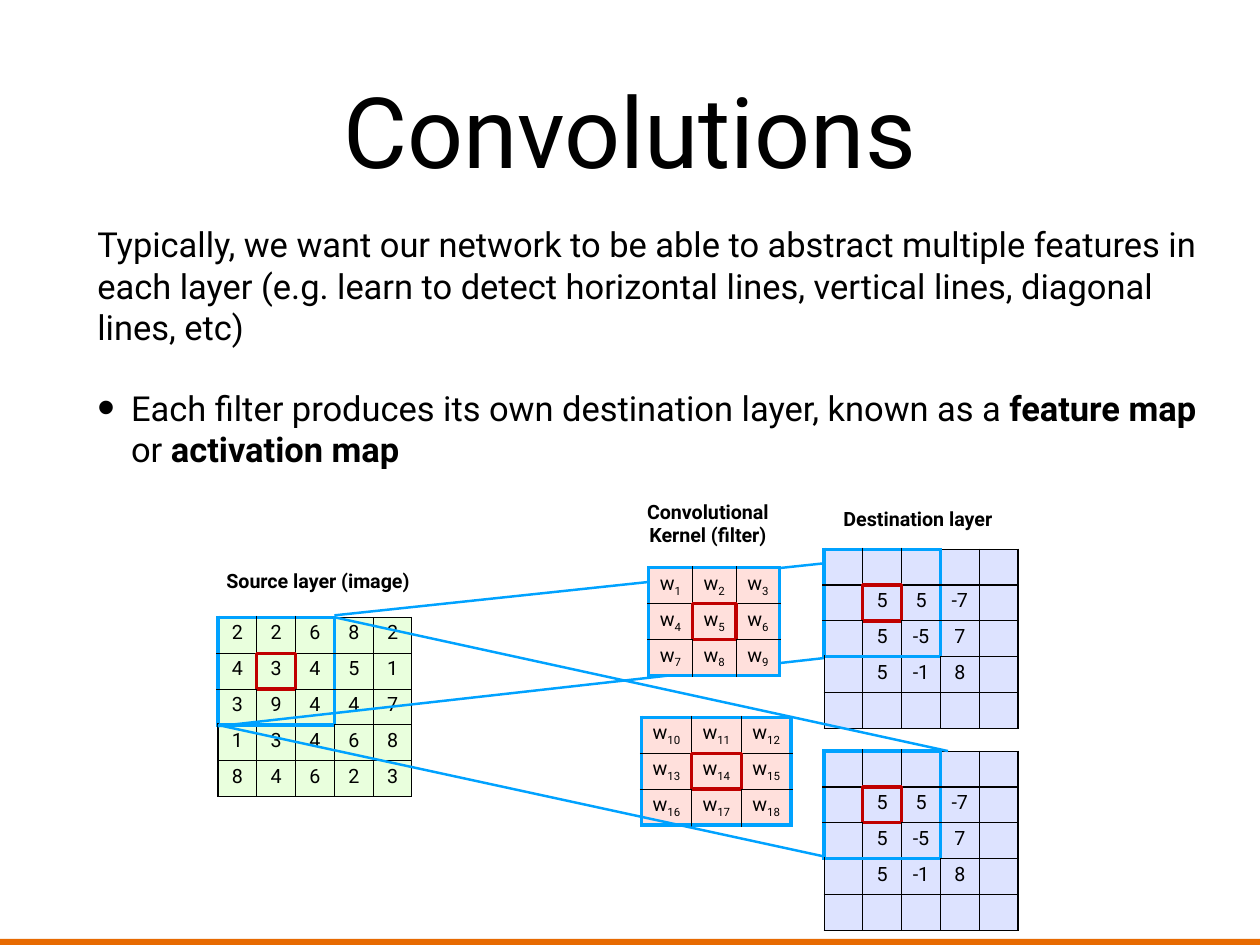
from typing import NamedTuple

from lxml.etree import SubElement
from pptx import Presentation
from pptx.dml.color import RGBColor
from pptx.enum.shapes import MSO_CONNECTOR, MSO_SHAPE
from pptx.enum.text import MSO_ANCHOR, MSO_AUTO_SIZE, PP_ALIGN
from pptx.oxml.ns import qn
from pptx.util import Inches, Pt

BLACK = RGBColor(0x00, 0x00, 0x00)
BLUE = RGBColor(0x00, 0xA2, 0xFF)
RED = RGBColor(0xC0, 0x00, 0x00)
ORANGE = RGBColor(0xE7, 0x6A, 0x01)
GREEN_FILL = RGBColor(0xE9, 0xFF, 0xDD)
LILAC_FILL = RGBColor(0xDD, 0xE3, 0xFF)
PINK_FILL = RGBColor(0xFF, 0xE0, 0xDC)

FONT = "Roboto"
WIDTH, HEIGHT = Inches(14.22), Inches(10.67)
ROW = 3.8
WINDOW = 3


class Matrix(NamedTuple):
    """A grid of cells; left, top and column width are percentages of the slide."""
    left: float
    top: float
    col: float
    fill: RGBColor
    rows: list

    def corner(self, col, row, dx=0, dy=0):
        return self.left + col * self.col + dx, self.top + row * ROW + dy


def kernel_rows(first):
    return [[f"w{first + WINDOW * r + c}" for c in range(WINDOW)] for r in range(WINDOW)]


IMAGE_ROWS = ["22682", "43451", "39447", "13468", "84623"]
MAP_ROWS = [
    [""] * 5,
    ["", "5", "5", "-7", ""],
    ["", "5", "-5", "7", ""],
    ["", "5", "-1", "8", ""],
    [""] * 5,
]
SOURCE = Matrix(17.3, 65.32, 3.08, GREEN_FILL, IMAGE_ROWS)
KERNELS = [Matrix(51.48, 60.07, 3.47, PINK_FILL, kernel_rows(1)),
           Matrix(50.91, 75.91, 3.96, PINK_FILL, kernel_rows(10))]
MAPS = [Matrix(65.4, top, 3.08, LILAC_FILL, MAP_ROWS) for top in (58.11, 79.48)]

LABELS = [
    ("Source layer (image)", (16.77, 59.7, 16.95, 3.47)),
    ("Destination layer", (66.03, 53.14, 13.64, 3.75)),
    ("Convolutional\nKernel (filter)", (50.21, 52.39, 11.95, 6)),
]


def across(share):
    return round(WIDTH * share / 100)


def down(share):
    return round(HEIGHT * share / 100)


def place(box):
    left, top, width, height = box
    return across(left), down(top), across(width), down(height)


def add_run(p, text, size=16, bold=False, color=BLACK, baseline=0):
    r = p.add_run()
    r.text = text
    r.font.name, r.font.size, r.font.bold = FONT, Pt(size), bold
    r.font.color.rgb = color
    if baseline:
        r.font._element.set("baseline", str(baseline * 1000))


def fit_placeholder(sp, box, anchor):
    sp.left, sp.top, sp.width, sp.height = place(box)
    tf = sp.text_frame
    tf.auto_size, tf.word_wrap, tf.vertical_anchor = MSO_AUTO_SIZE.NONE, True, anchor
    tf.margin_left = tf.margin_right = tf.margin_top = tf.margin_bottom = Inches(0.06)
    return tf


def fill_title(s, box):
    p = fit_placeholder(s.shapes.title, box, MSO_ANCHOR.MIDDLE).paragraphs[0]
    p.alignment = PP_ALIGN.CENTER
    add_run(p, "Convolutions", size=80)


def fill_body(s, box):
    tf = fit_placeholder(s.placeholders[1], box, MSO_ANCHOR.TOP)
    intro, point = tf.paragraphs[0], tf.add_paragraph()
    for p, indent in ((intro, 0), (point, Inches(0.38))):
        p.space_before = Pt(32)
        pPr = p._p.get_or_add_pPr()
        pPr.set("marL", str(indent))
        pPr.set("indent", str(-indent))
        if indent:
            SubElement(pPr, qn("a:buSzPct"), val="145000")
            SubElement(pPr, qn("a:buChar"), char="•")
        else:
            SubElement(pPr, qn("a:buNone"))
    add_run(intro, "Typically, we want our network to be able to abstract multiple features in "
                   "each layer (e.g. learn to detect horizontal lines, vertical lines, diagonal "
                   "lines, etc)", size=28)
    for text, bold in (("Each filter produces its own destination layer, known as a ", False),
                       ("feature map", True), (" or ", False), ("activation map", True)):
        add_run(point, text, size=28, bold=bold)


def edge_style(line, lane):
    """Colour and width of the border on grid line `line`, beside row or column `lane`."""
    if line in (0, WINDOW) and lane < WINDOW:
        return BLUE, 3
    if line in (1, 2) and lane == 1:
        return RED, 3
    return BLACK, 1


def set_borders(cell, row, col):
    tcPr = cell._tc.get_or_add_tcPr()
    for side, line, lane in (("L", col, row), ("R", col + 1, row),
                             ("T", row, col), ("B", row + 1, col)):
        color, width = edge_style(line, lane)
        ln = SubElement(tcPr, qn(f"a:ln{side}"), w=str(Pt(width)))
        SubElement(SubElement(ln, qn("a:solidFill")), qn("a:srgbClr"), val=str(color))


def add_matrix(s, m):
    n = len(m.rows)
    box = m.left, m.top, n * m.col, n * ROW
    table = s.shapes.add_table(n, n, *place(box)).table
    table.first_row = table.horz_banding = False
    for i in range(n):
        table.columns[i].width = across(m.col)
        table.rows[i].height = down(ROW)
    for row, values in enumerate(m.rows):
        for col, value in enumerate(values):
            cell = table.cell(row, col)
            set_borders(cell, row, col)
            cell.fill.solid()
            cell.fill.fore_color.rgb = m.fill
            cell.margin_left = cell.margin_right = cell.margin_top = Inches(0.05)
            cell.margin_bottom = 0
            p = cell.text_frame.paragraphs[0]
            p.alignment = PP_ALIGN.CENTER
            if value.startswith("w"):
                add_run(p, "w")
                add_run(p, value[1:], baseline=-25)
            elif value:
                add_run(p, value)


def add_ray(s, start, end):
    (x1, y1), (x2, y2) = start, end
    ray = s.shapes.add_connector(MSO_CONNECTOR.STRAIGHT,
                                 across(x1), down(y1), across(x2), down(y2))
    ray.line.color.rgb, ray.line.width = BLUE, Pt(2)
    SubElement(ray._element.spPr, qn("a:effectLst"))


def add_label(s, text, box):
    tf = s.shapes.add_textbox(*place(box)).text_frame
    tf.word_wrap = True
    for i, line in enumerate(text.split("\n")):
        p = tf.add_paragraph() if i else tf.paragraphs[0]
        p.alignment = PP_ALIGN.CENTER
        add_run(p, line, bold=True)


def add_diagram(s):
    add_matrix(s, SOURCE)
    add_ray(s, SOURCE.corner(WINDOW, 0, dy=-0.2), MAPS[0].corner(WINDOW, 0, dx=-0.6, dy=0.28))
    add_ray(s, SOURCE.corner(0, WINDOW, dy=0.13), MAPS[0].corner(0, WINDOW, dy=0.13))
    for m in (MAPS[0], *KERNELS, MAPS[1]):
        add_matrix(s, m)
    for text, box in LABELS:
        add_label(s, text, box)
    add_ray(s, SOURCE.corner(WINDOW, 0), MAPS[1].corner(WINDOW, 0, dx=0.6))
    add_ray(s, SOURCE.corner(0, WINDOW), MAPS[1].corner(0, WINDOW, dy=-0.25))


def add_footer_bar(s, box):
    sp = s.shapes.add_shape(MSO_SHAPE.RECTANGLE, *place(box))
    sp.shadow.inherit = False
    sp.fill.solid()
    sp.fill.fore_color.rgb = ORANGE
    sp.line.fill.background()


def main():
    prs = Presentation()
    prs.slide_width, prs.slide_height = WIDTH, HEIGHT
    s = prs.slides.add_slide(prs.slide_layouts[1])
    add_footer_bar(s, (0, 99.34, 100, 0.66))
    fill_body(s, (7.31, 23.06, 88.33, 67.85))
    fill_title(s, (7.31, 2.62, 85.37, 22.12))
    add_diagram(s)
    prs.save("out.pptx")


if __name__ == "__main__":
    main()
